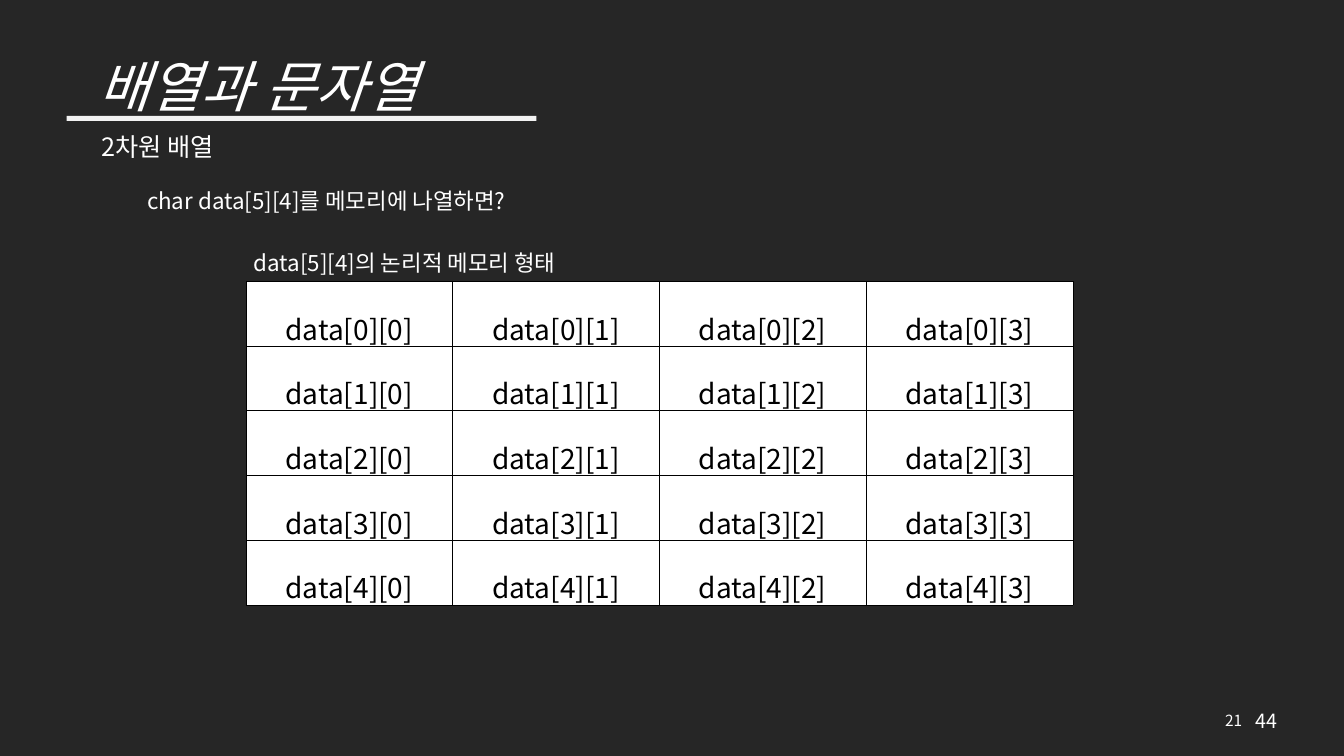
from dataclasses import dataclass, field
from typing import Any

from lxml.etree import SubElement
from pptx import Presentation
from pptx.dml.color import RGBColor
from pptx.enum.shapes import MSO_SHAPE
from pptx.enum.text import MSO_ANCHOR, MSO_AUTO_SIZE, PP_ALIGN
from pptx.oxml.ns import qn
from pptx.slide import Slide
from pptx.util import Inches, Pt

PAGE_WIDTH, PAGE_HEIGHT = Inches(13.33), Inches(7.5)


@dataclass(frozen=True)
class Theme:
    background: str = "262626"
    text: str = "FFFFFF"
    rule: str = "F2F2F2"
    cell: str = "FFFFFF"
    ink: str = "000000"
    main_font: str = "Noto Sans CJK KR"
    latin_font: str = "Calibri"
    title_size: float = 39.6
    cell_size: float = 20
    subtitle_size: float = 18
    body_size: float = 16
    total_size: float = 14
    number_size: float = 11
    border_width: float = 0.28


THEME = Theme()


@dataclass(frozen=True)
class Area:
    """A place on the slide, in percent of its width and height."""
    left: float
    top: float
    width: float
    height: float

    def lengths(self) -> tuple[int, int, int, int]:
        return (int(PAGE_WIDTH * self.left / 100), int(PAGE_HEIGHT * self.top / 100),
                int(PAGE_WIDTH * self.width / 100), int(PAGE_HEIGHT * self.height / 100))


@dataclass(frozen=True)
class Label:
    area: Area
    spans: list[tuple[str, str]]
    size: float
    italic: bool = False
    frame_format: dict[str, Any] = field(default_factory=dict)
    para_format: dict[str, Any] = field(default_factory=dict)


GROW = {"word_wrap": True, "auto_size": MSO_AUTO_SIZE.SHAPE_TO_FIT_TEXT}
GROW_WIDE = GROW | {"word_wrap": False}
MIDDLE = {"word_wrap": True, "vertical_anchor": MSO_ANCHOR.MIDDLE}

LABELS = [
    Label(Area(92.65, 93.07, 3.15, 4.53), [("44", THEME.main_font)],
          THEME.total_size, frame_format=GROW_WIDE),
    Label(Area(4.95, 7.6, 28.51, 8.4), [("배열과 문자열", THEME.main_font)],
          THEME.title_size, True, MIDDLE,
          {"alignment": PP_ALIGN.CENTER, "line_spacing": 0.9}),
    Label(Area(83.72, 92.67, 9.45, 5.33), [("21", THEME.main_font)],
          THEME.number_size, False, MIDDLE, {"alignment": PP_ALIGN.RIGHT}),
    Label(Area(6.83, 16.67, 30.38, 5.33),
          [("2", THEME.main_font), ("차원 배열", THEME.latin_font)],
          THEME.subtitle_size, frame_format=GROW),
    Label(Area(18.15, 32.27, 25.73, 4.93),
          [("data[5][4]의 논리적 메모리 형태", THEME.main_font)],
          THEME.body_size, frame_format=GROW_WIDE),
    Label(Area(10.2, 24.13, 29.71, 4.93),
          [("char data[5][4]를 메모리에 나열하면?", THEME.main_font)],
          THEME.body_size, frame_format=GROW_WIDE),
]

TITLE_RULE = Area(4.95, 15.33, 34.96, 0.67)
MEMORY_GRID = Area(18.3, 37.2, 61.52, 42.8)
ROW_COUNT, COLUMN_COUNT = 5, 4
CELL_FORMAT = {
    "vertical_anchor": MSO_ANCHOR.MIDDLE,
    "margin_left": Inches(0.07), "margin_right": Inches(0.07),
    "margin_top": Inches(0.02), "margin_bottom": Inches(0.02),
}
CELL_PARA_FORMAT = {"alignment": PP_ALIGN.CENTER, "line_spacing": 1.6}


def apply_format(target: Any, values: dict[str, Any]) -> None:
    for name, value in values.items():
        setattr(target, name, value)


def paint(fill: Any, color: str) -> None:
    fill.solid()
    fill.fore_color.rgb = RGBColor.from_string(color)


def add_span(para: Any, text: str, typeface: str, size: float, color: str,
             italic: bool = False) -> None:
    span = para.add_run()
    span.text = text
    apply_format(span.font, {"name": typeface, "size": Pt(size), "italic": italic})
    span.font.color.rgb = RGBColor.from_string(color)
    # East Asian glyphs take their own typeface
    SubElement(span.font._element, qn("a:ea"), typeface=THEME.main_font)


def add_label(page: Slide, label: Label) -> None:
    frame = page.shapes.add_textbox(*label.area.lengths()).text_frame
    apply_format(frame, label.frame_format)
    para = frame.paragraphs[0]
    apply_format(para, label.para_format)
    for text, typeface in label.spans:
        add_span(para, text, typeface, label.size, THEME.text, label.italic)


def add_title_rule(page: Slide) -> None:
    bar = page.shapes.add_shape(MSO_SHAPE.RECTANGLE, *TITLE_RULE.lengths())
    bar.shadow.inherit = False
    paint(bar.fill, THEME.rule)
    bar.line.fill.background()


def add_borders(cell: Any) -> None:
    properties = cell._tc.get_or_add_tcPr()
    for position, side in enumerate(("lnL", "lnR", "lnT", "lnB")):
        line = SubElement(properties, qn(f"a:{side}"), w=str(int(Pt(THEME.border_width))))
        SubElement(SubElement(line, qn("a:solidFill")), qn("a:srgbClr"), val=THEME.ink)
        properties.insert(position, line)


def add_memory_grid(page: Slide) -> None:
    left, top, width, height = MEMORY_GRID.lengths()
    table = page.shapes.add_table(ROW_COUNT, COLUMN_COUNT, left, top, width, height).table
    apply_format(table, {"first_row": False, "horz_banding": False})
    for row in range(ROW_COUNT):
        for column in range(COLUMN_COUNT):
            cell = table.cell(row, column)
            apply_format(cell, CELL_FORMAT)
            paint(cell.fill, THEME.cell)
            add_borders(cell)
            para = cell.text_frame.paragraphs[0]
            apply_format(para, CELL_PARA_FORMAT)
            add_span(para, f"data[{row}][{column}]", THEME.main_font,
                     THEME.cell_size, THEME.ink)


def main() -> None:
    deck = Presentation()
    apply_format(deck, {"slide_width": PAGE_WIDTH, "slide_height": PAGE_HEIGHT})
    page = deck.slides.add_slide(deck.slide_layouts[6])
    paint(page.background.fill, THEME.background)

    # Heading, captions and page numbers
    add_title_rule(page)
    for label in LABELS:
        add_label(page, label)

    # Logical layout of the two-dimensional array
    add_memory_grid(page)
    deck.save("out.pptx")


if __name__ == "__main__":
    main()
